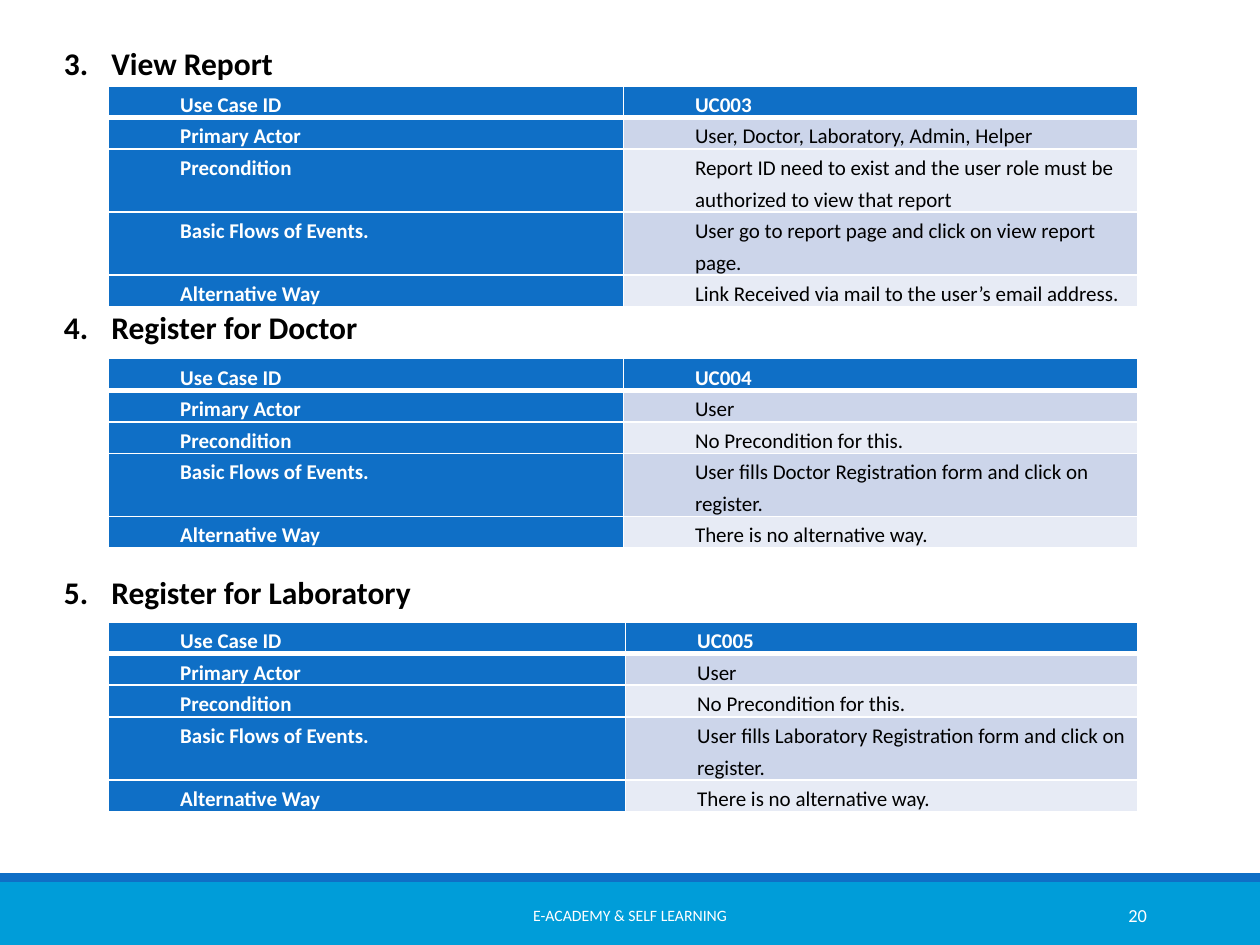
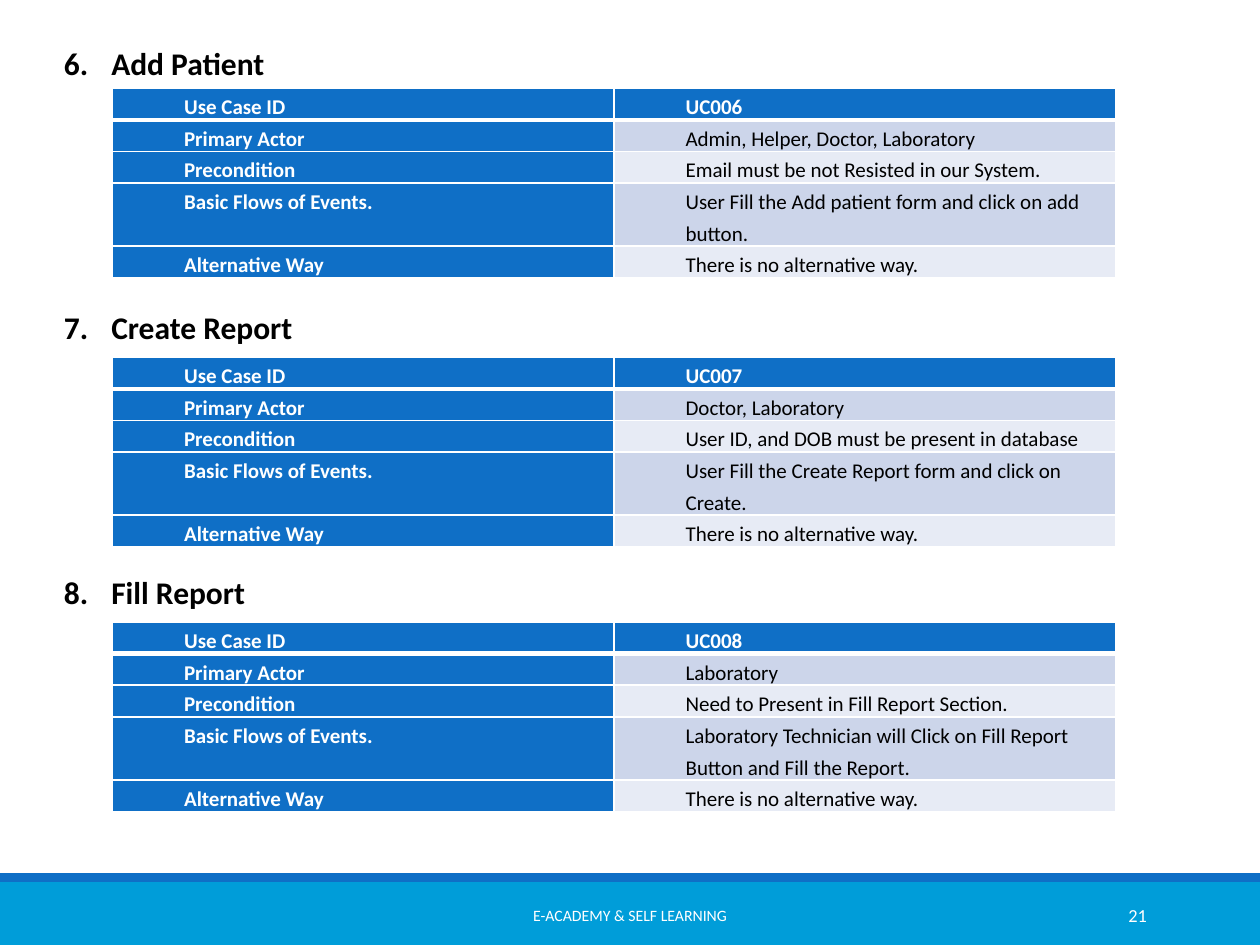
from lxml import etree
from pptx import Presentation
from pptx.dml.color import RGBColor
from pptx.enum.shapes import MSO_SHAPE
from pptx.enum.text import MSO_ANCHOR, PP_ALIGN
from pptx.oxml.ns import qn
from pptx.util import Pt

RECTANGLE = MSO_SHAPE.RECTANGLE
MIDDLE, TOP = MSO_ANCHOR.MIDDLE, MSO_ANCHOR.TOP
LEFT, CENTER, RIGHT = PP_ALIGN.LEFT, PP_ALIGN.CENTER, PP_ALIGN.RIGHT

COLORS = {
    "blue": "0F6FC6", "cyan": "009DD9", "band_dark": "CCD5EA",
    "band_light": "E7EBF5", "white": "FFFFFF", "black": "000000",
}
FONT = "Calibri"
FOOTER = "E-ACADEMY & SELF LEARNING"
LABELS = ["Use Case ID", "Primary Actor", "Precondition",
          "Basic Flows of Events.", "Alternative Way"]
NO_ALTERNATIVE = "There is no alternative way."
NO_PRECONDITION = "No Precondition for this."

# Each case: heading, table top, first column width, values below the labels.
SLIDES = [
    {"page": 20, "first": 3, "left": 62, "width": 588.4, "cases": [
        ("View Report", 49, 294.2, [
            "UC003", "User, Doctor, Laboratory, Admin, Helper",
            "Report ID need to exist and the user role must be authorized "
            "to view that report",
            "User go to report page and click on view report page.",
            "Link Received via mail to the user’s email address."]),
        ("Register for Doctor", 205, 294.2, [
            "UC004", "User", NO_PRECONDITION,
            "User fills Doctor Registration form and click on register.",
            NO_ALTERNATIVE]),
        ("Register for Laboratory", 355.5, 295.4, [
            "UC005", "User", NO_PRECONDITION,
            "User fills Laboratory Registration form and click on register.",
            NO_ALTERNATIVE]),
    ]},
    {"page": 21, "first": 6, "left": 64.2, "width": 573.2, "cases": [
        ("Add Patient", 50.5, 286.6, [
            "UC006", "Admin, Helper, Doctor, Laboratory",
            "Email must be not Resisted in our System.",
            "User Fill the Add patient form and click on add button.",
            NO_ALTERNATIVE]),
        ("Create Report", 204.2, 286.6, [
            "UC007", "Doctor, Laboratory",
            "User ID, and DOB must be present in database",
            "User Fill the Create Report form and click on Create.",
            NO_ALTERNATIVE]),
        ("Fill Report", 355.5, 286.6, [
            "UC008", "Laboratory", "Need to Present in Fill Report Section.",
            "Laboratory Technician will Click on Fill Report Button and "
            "Fill the Report.",
            NO_ALTERNATIVE]),
    ]},
]

LINE_HEIGHT = 17
CHARS_PER_LINE = 52
HEADING_GAP = 129.4
HEADING_INDENT = 27


def rgb(name):
    """Return the named colour."""
    return RGBColor.from_string(COLORS[name])


def write(p, text, size, color, bold=False, **paragraph_format):
    """Put one formatted run in a paragraph."""
    for name, value in paragraph_format.items():
        setattr(p, name, value)
    r = p.add_run()
    r.text = text
    for name, value in {"name": FONT, "size": Pt(size), "bold": bold}.items():
        setattr(r.font, name, value)
    r.font.color.rgb = rgb(color)


def add_text_box(s, left, top, width, height, anchor):
    """Add a wrapping text box and return its text frame."""
    tf = s.shapes.add_textbox(Pt(left), Pt(top), Pt(width), Pt(height)).text_frame
    tf.word_wrap = True
    tf.vertical_anchor = anchor
    return tf


def add_footer(s, page):
    """Draw the two bands, the course name and the page number."""
    for top, height, color in [(504, 36, "cyan"), (499, 5, "blue")]:
        sp = s.shapes.add_shape(RECTANGLE, 0, Pt(top), prs.slide_width, Pt(height))
        sp.shadow.inherit = False
        sp.fill.solid()
        sp.fill.fore_color.rgb = rgb(color)
        sp.line.fill.background()
    for left, width, text, size, align in [(217.5, 285, FOOTER, 9, CENTER),
                                           (584.6, 77.8, str(page), 10.5, RIGHT)]:
        tf = add_text_box(s, left, 508.5, width, 28.8, MIDDLE)
        write(tf.paragraphs[0], text, size, "white", alignment=align)


def add_headings(s, headings, first):
    """Write the numbered headings, evenly spaced in one text box."""
    tf = add_text_box(s, 29.5, 21.6, 676, 334, TOP)
    for i, heading in enumerate(headings):
        p = tf.add_paragraph() if i else tf.paragraphs[0]
        write(p, heading, 18, "black", True, alignment=LEFT,
              space_before=Pt(HEADING_GAP if i else 0))
        pPr = p._p.get_or_add_pPr()
        pPr.set("marL", str(Pt(HEADING_INDENT)))
        pPr.set("indent", str(-Pt(HEADING_INDENT)))
        etree.SubElement(pPr, qn("a:buFont"), typeface="+mj-lt")
        etree.SubElement(pPr, qn("a:buAutoNum"), type="arabicPeriod",
                         startAt=str(first))


def set_borders(cell, widths):
    """Give a cell white borders of the given widths."""
    tcPr = cell._tc.get_or_add_tcPr()
    for side, width in widths.items():
        ln = etree.SubElement(tcPr, qn("a:ln" + side), w=str(Pt(width)))
        fill = etree.SubElement(ln, qn("a:solidFill"))
        etree.SubElement(fill, qn("a:srgbClr"), val=COLORS["white"])


def add_case_table(s, left, top, width, label_width, values):
    """Add the table of one use case: labels beside values."""
    lines = [2 if len(value) > CHARS_PER_LINE else 1 for value in values]
    table = s.shapes.add_table(len(LABELS), 2, Pt(left), Pt(top), Pt(width),
                               Pt(LINE_HEIGHT * sum(lines))).table
    for column, w in zip(table.columns, (label_width, width - label_width)):
        column.width = Pt(w)
    for i, texts in enumerate(zip(LABELS, values)):
        table.rows[i].height = Pt(LINE_HEIGHT * lines[i])
        for j, text in enumerate(texts):
            cell = table.cell(i, j)
            strong = i == 0 or j == 0
            band = "band_dark" if i % 2 else "band_light"
            set_borders(cell, {"L": 1, "R": 1, "T": 3 if i == 1 else 1,
                               "B": 3 if i == 0 else 1})
            cell.fill.solid()
            cell.fill.fore_color.rgb = rgb("blue" if strong else band)
            for name, value in {"left": 5, "right": 5, "top": 0, "bottom": 0}.items():
                setattr(cell, "margin_" + name, Pt(value))
            p = cell.text_frame.paragraphs[0]
            write(p, text, 12, "white" if strong else "black", strong,
                  line_spacing=1.25, space_after=Pt(10 * j))
            p._p.get_or_add_pPr().set("marL", str(Pt(36)))


prs = Presentation()
prs.slide_width, prs.slide_height = Pt(720), Pt(540)
blank = prs.slide_layouts.get_by_name("Blank")
for content in SLIDES:
    s = prs.slides.add_slide(blank)
    add_footer(s, content["page"])
    add_headings(s, [case[0] for case in content["cases"]], content["first"])
    for _, top, label_width, values in content["cases"]:
        add_case_table(s, content["left"], top, content["width"], label_width, values)
prs.save("out.pptx")
